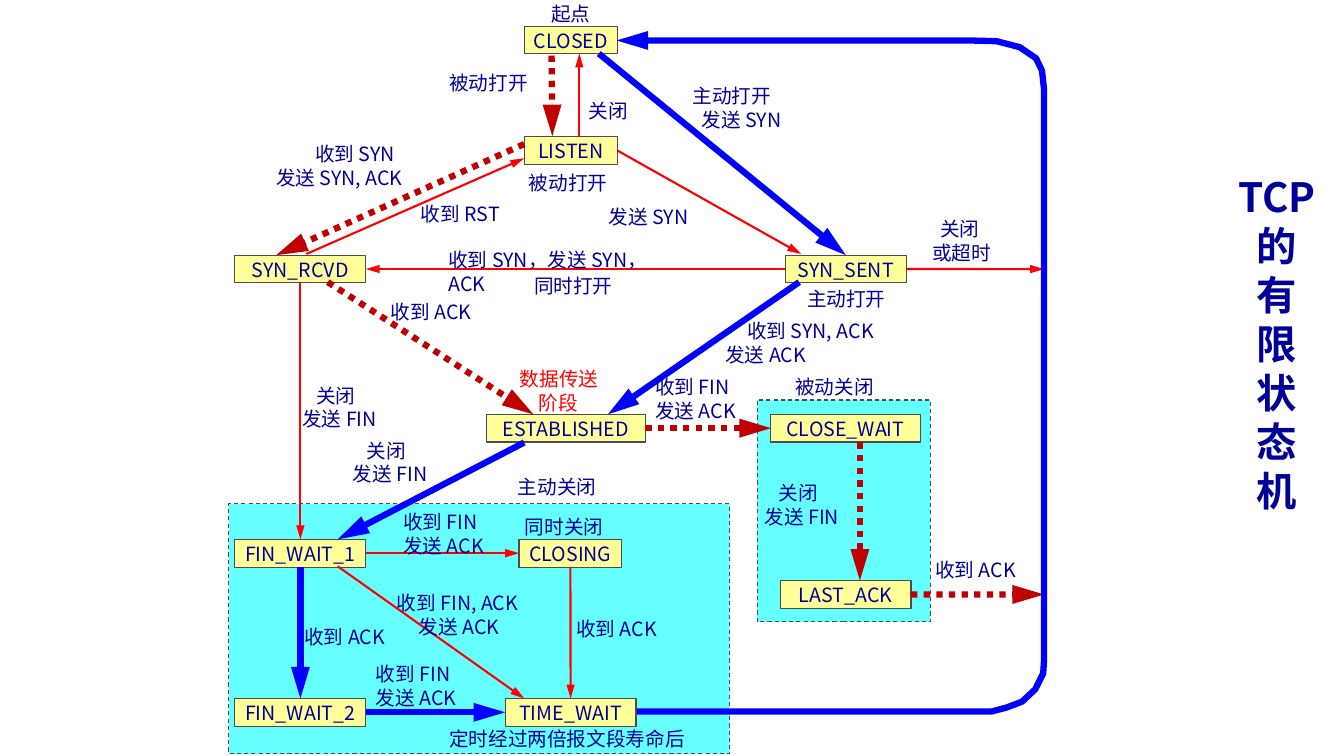
from lxml import etree
from pptx import Presentation
from pptx.dml.color import RGBColor
from pptx.enum.dml import MSO_LINE
from pptx.enum.shapes import MSO_CONNECTOR, MSO_SHAPE
from pptx.enum.text import MSO_ANCHOR, PP_ALIGN
from pptx.oxml.ns import qn
from pptx.util import Cm, Pt

RECT = MSO_SHAPE.RECTANGLE
STRAIGHT = MSO_CONNECTOR.STRAIGHT
DASH, DOT = MSO_LINE.DASH, MSO_LINE.ROUND_DOT
LEFT, CENTER = PP_ALIGN.LEFT, PP_ALIGN.CENTER
TOP, MIDDLE = MSO_ANCHOR.TOP, MSO_ANCHOR.MIDDLE
N, W, S, E = range(4)  # connection sites of a rectangle

FONT = "Noto Sans CJK SC"
COLORS = {"text": "000099", "state": "FFFF99", "frame": "66FFFF", "border": "4C4C4C",
          "client": "0000FF", "server": "C00000", "other": "FF0000"}

# All positions are in centimetres
TITLE = ["TCP", "的", "有", "限", "状", "态", "机"]
FRAMES = [(5.77, 12.7, 12.62, 6.3), (19.08, 10.08, 4.37, 5.59)]

STATE_H = 0.7
STATES = {  # name: left, top, width
    "CLOSED": (13.21, 0.66, 2.36),
    "LISTEN": (13.21, 3.45, 2.36),
    "SYN_RCVD": (5.92, 6.43, 3.3),
    "SYN_SENT": (19.79, 6.43, 3.05),
    "ESTABLISHED": (12.27, 10.44, 3.99),
    "CLOSE_WAIT": (19.43, 10.44, 3.76),
    "FIN_WAIT_1": (5.92, 13.59, 3.3),
    "CLOSING": (13.08, 13.59, 2.59),
    "LAST_ACK": (19.66, 14.63, 3.3),
    "FIN_WAIT_2": (5.92, 17.6, 3.3),
    "TIME_WAIT": (12.73, 17.6, 3.3),
}

# kind: colour, width in points, dash
STYLES = {"client": ("client", 4.5, None), "server": ("server", 4.5, DOT),
          "other": ("other", 1.5, None)}

# An end is a state with a side, or a point
ARROWS = {
    "client": [
        ((15.09, 1.35), ("SYN_SENT", N)),
        ((20.14, 7.11), (15.32, 10.44)),
        ((13.21, 11.15), (8.51, 13.59)),
        (("FIN_WAIT_1", S), ("FIN_WAIT_2", N)),
        (("FIN_WAIT_2", E), ("TIME_WAIT", W)),
    ],
    "server": [
        ((13.9, 1.4), (13.92, 3.43)),
        ((13.21, 3.63), (6.96, 6.43)),
        ((8.26, 7.11), (13.44, 10.44)),
        (("ESTABLISHED", E), ("CLOSE_WAIT", W)),
        ((21.67, 11.15), (21.67, 14.63)),
        (("LAST_ACK", E), (26.31, 14.98)),
    ],
    "other": [
        ((14.6, 3.45), (14.6, 1.35)),
        (("LISTEN", E), (20.19, 6.4)),
        ((7.72, 6.4), (13.21, 3.99)),
        (("SYN_SENT", W), ("SYN_RCVD", E)),
        (("SYN_SENT", E), (26.31, 6.78)),
        (("SYN_RCVD", S), ("FIN_WAIT_1", N)),
        (("FIN_WAIT_1", E), ("CLOSING", W)),
        ((8.51, 14.27), (13.21, 17.6)),
        (("CLOSING", S), ("TIME_WAIT", N)),
    ],
}

# Way back from TIME_WAIT to CLOSED
RETURN_PATH = [(16.05, 17.93), (24.99, 17.93), (25.37, 17.83), (25.76, 17.68),
               (26.09, 17.37), (26.29, 16.97), (26.31, 16.66), (26.31, 2.24),
               (26.26, 1.78), (26.11, 1.47), (25.7, 1.19), (25.12, 1.04),
               (24.41, 1.02), (15.54, 1.02)]

# left, top, width, lines; a line may carry its indent
LABELS = [
    (13.64, -0.08, 1.5, ["起点"]),
    (11.07, 1.65, 2.51, ["被动打开"]),
    (14.58, 2.36, 1.5, ["关闭"]),
    (17.2, 1.98, 3, ["主动打开", ("发送 SYN", 0.23)]),
    (13.08, 4.17, 2.51, ["被动打开"]),
    (6.71, 3.45, 4.01, [("收到 SYN", 0.98), "发送 SYN, ACK"]),
    (10.36, 4.95, 2.64, ["收到 RST"]),
    (15.09, 5.03, 2.69, ["发送 SYN"]),
    (23.24, 5.33, 2.01, [("关闭", 0.2), "或超时"]),
    (11.05, 6.12, 7.04, ["收到 SYN，发送 SYN，", "ACK"]),
    (13.21, 6.78, 2.51, ["同时打开"]),
    (20.09, 7.09, 2.51, ["主动打开"]),
    (9.6, 7.42, 2.72, ["收到 ACK"]),
    (18.03, 7.9, 4.78, [("收到 SYN, ACK", 0.55), "发送 ACK"]),
    (16.26, 9.32, 2.72, ["收到 FIN", "发送 ACK"]),
    (19.79, 9.32, 2.51, ["被动关闭"]),
    (7.37, 9.53, 2.54, [("关闭", 0.35), "发送 FIN"]),
    (8.64, 10.92, 2.54, [("关闭", 0.35), "发送 FIN"]),
    (19.02, 11.99, 2.54, [("关闭", 0.35), "发送 FIN"]),
    (12.8, 11.84, 2.51, ["主动关闭"]),
    (12.98, 12.85, 2.51, ["同时关闭"]),
    (9.91, 12.73, 2.72, ["收到 FIN", "发送 ACK"]),
    (23.32, 13.92, 2.72, ["收到 ACK"]),
    (9.75, 14.76, 3.86, ["收到 FIN, ACK", ("发送 ACK", 0.55)]),
    (14.27, 15.42, 2.72, ["收到 ACK"]),
    (7.42, 15.62, 2.72, ["收到 ACK"]),
    (9.22, 16.54, 2.72, ["收到 FIN", "发送 ACK"]),
    (11.07, 18.19, 6.5, ["定时经过两倍报文段寿命后"]),
]
PHASE_LABEL = (12.85, 9.12, 2.51, ["数据传送", ("阶段", 0.48)])


def rgb(name):
    return RGBColor.from_string(COLORS[name])


def write(tf, lines, size=14, pitch=17, color="text", bold=False, align=LEFT,
          anchor=TOP, wrap=True):
    tf.word_wrap = wrap
    tf.vertical_anchor = anchor
    tf.margin_right = 0 if align == LEFT else tf.margin_left
    for i, line in enumerate(lines):
        text, indent = line if isinstance(line, tuple) else (line, 0)
        p = tf.paragraphs[0] if i == 0 else tf.add_paragraph()
        p.alignment = align
        p.line_spacing = Pt(pitch)
        if indent:
            p._p.get_or_add_pPr().set("marL", str(Cm(indent)))
        r = p.add_run()
        r.text = text
        r.font.name, r.font.size, r.font.bold = FONT, Pt(size), bold
        r.font.color.rgb = rgb(color)
        ea = etree.SubElement(r._r.get_or_add_rPr(), qn("a:ea"))
        ea.set("typeface", FONT)


def add_label(x, y, w, lines, **fmt):
    h = 0.26 + 0.6 * len(lines)
    write(s.shapes.add_textbox(Cm(x), Cm(y), Cm(w), Cm(h)).text_frame, lines, **fmt)


def add_box(x, y, w, h, fill, dash=None):
    sp = s.shapes.add_shape(RECT, Cm(x), Cm(y), Cm(w), Cm(h))
    sp.shadow.inherit = False
    sp.fill.solid()
    sp.fill.fore_color.rgb = rgb(fill)
    sp.line.color.rgb = rgb("border")
    sp.line.width = Pt(0.75)
    sp.line.dash_style = dash
    return sp


def style_arrow(line, kind):
    color, width, dash = STYLES[kind]
    line.color.rgb = rgb(color)
    line.width = Pt(width)
    line.dash_style = dash
    tail = etree.SubElement(line._get_or_add_ln(), qn("a:tailEnd"))
    for key, value in (("type", "triangle"), ("w", "med"), ("len", "lg")):
        tail.set(key, value)


def add_arrow(start, end, kind):
    points = [(0, 0) if e[0] in boxes else e for e in (start, end)]
    c = s.shapes.add_connector(STRAIGHT, *[Cm(v) for pt in points for v in pt])
    for e, join in ((start, c.begin_connect), (end, c.end_connect)):
        if e[0] in boxes:
            join(boxes[e[0]], e[1])
    style_arrow(c.line, kind)
    etree.SubElement(c._element.spPr, qn("a:effectLst"))


prs = Presentation()
prs.slide_width, prs.slide_height = Cm(33.87), Cm(19.05)
s = prs.slides.add_slide(prs.slide_layouts[6])

# Title down the right edge
title = s.shapes.add_textbox(Cm(30.51), Cm(3.78), Cm(3.35), Cm(9.73))
write(title.text_frame, TITLE, size=28.8, pitch=35, bold=True, align=CENTER, anchor=MIDDLE)

# Closing phases, then states
for frame in FRAMES:
    add_box(*frame, "frame", DASH)
boxes = {}
for name, (x, y, w) in STATES.items():
    boxes[name] = add_box(x, y, w, STATE_H, "state")
    write(boxes[name].text_frame, [name], align=CENTER, anchor=MIDDLE, wrap=False)

# Transitions
for kind, arrows in ARROWS.items():
    for start, end in arrows:
        add_arrow(start, end, kind)

# Return path
first, *rest = [(Cm(x), Cm(y)) for x, y in RETURN_PATH]
fb = s.shapes.build_freeform(*first)
fb.add_line_segments(rest, close=False)
route = fb.convert_to_shape()
route.shadow.inherit = False
route.fill.background()
style_arrow(route.line, "client")

# Labels
for label in LABELS:
    add_label(*label)
add_label(*PHASE_LABEL, color="other")

prs.save("out.pptx")
